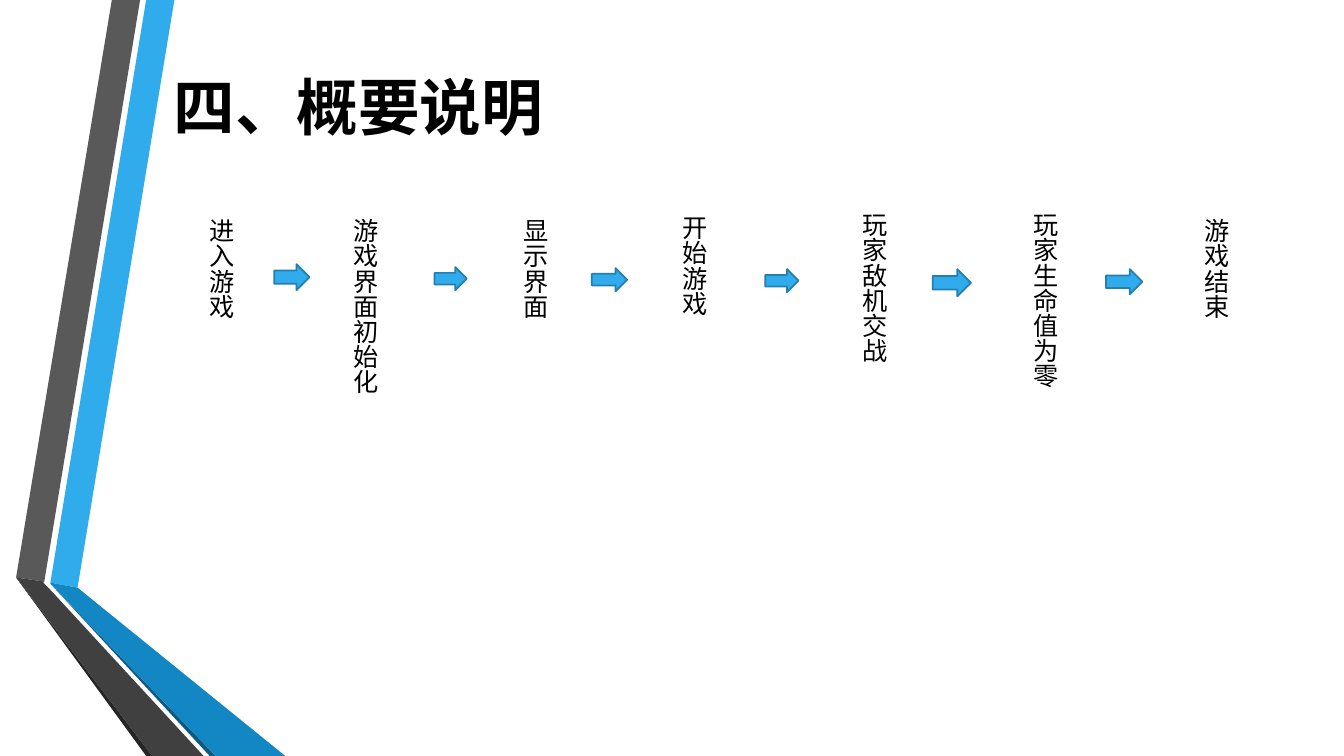
"""Build the overview slide: a vertical-text game flow beside a folded ribbon."""
from dataclasses import dataclass

from pptx import Presentation
from pptx.dml.color import RGBColor
from pptx.enum.shapes import MSO_SHAPE
from pptx.enum.text import MSO_ANCHOR, MSO_AUTO_SIZE, PP_ALIGN
from pptx.slide import Slide
from pptx.text.text import TextFrame
from pptx.util import Emu, Pt

EMU_PER_PX = 9144


@dataclass(frozen=True)
class Theme:
    font: str = "Calibri"
    title_size: int = 44
    step_size: int = 18
    arrow_line_width: float = 1.25
    text: str = "000000"
    arrow_fill: str = "30ACEC"
    arrow_line: str = "247FAF"
    blue: str = "30ACEC"
    blue_fold: str = "1287C3"
    blue_shade: str = "0C5A82"
    grey: str = "595959"
    grey_fold: str = "404040"
    grey_shade: str = "262626"


@dataclass(frozen=True)
class RibbonPart:
    color: str
    points: tuple[tuple[int, int], ...]


@dataclass(frozen=True)
class Step:
    label: str
    left: int
    top: int
    height: int
    anchor: MSO_ANCHOR = MSO_ANCHOR.TOP


@dataclass(frozen=True)
class FlowArrow:
    left: int
    top: int
    width: int
    height: int


THEME = Theme()
STEP_WIDTH = 50

RIBBON = (
    RibbonPart(THEME.blue, ((50, 578), (77, 583), (173, 0), (145, 0))),
    RibbonPart(THEME.grey, ((139, 0), (111, 0), (16, 573), (44, 577))),
    RibbonPart(THEME.grey_shade, ((16, 573), (145, 750), (151, 750))),
    RibbonPart(THEME.blue_shade, ((50, 579), (208, 750), (214, 750))),
    RibbonPart(THEME.blue_fold, ((50, 578), (50, 579), (214, 750), (283, 750), (77, 583))),
    RibbonPart(THEME.grey_fold, ((202, 750), (48, 583), (43, 578), (44, 577), (16, 573), (151, 750))),
)

STEPS = (
    Step("进入游戏", 200, 207, 398, MSO_ANCHOR.BOTTOM),
    Step("游戏界面初始化", 332, 207, 334),
    Step("显示界面", 501, 207, 342),
    Step("开始游戏", 658, 204, 366),
    Step("玩家敌机交战", 837, 201, 372),
    Step("玩家生命值为零", 1007, 201, 250),
    Step("游戏结束", 1176, 207, 282),
)

ARROWS = (
    FlowArrow(272, 262, 35, 26),
    FlowArrow(431, 265, 32, 23),
    FlowArrow(587, 266, 35, 23),
    FlowArrow(759, 267, 33, 23),
    FlowArrow(925, 267, 38, 27),
    FlowArrow(1097, 267, 36, 25),
)


def px(length: int) -> Emu:
    """Turn px into EMU."""
    return Emu(length * EMU_PER_PX)


def format_text(frame: TextFrame, size: int, bold: bool = False) -> None:
    """Apply the theme font to every run."""
    for paragraph in frame.paragraphs:
        for run in paragraph.runs:
            run.font.name = THEME.font
            run.font.size = Pt(size)
            run.font.bold = bold
            run.font.color.rgb = RGBColor.from_string(THEME.text)


def draw_ribbon_part(slide: Slide, part: RibbonPart) -> None:
    """Draw one filled outline of the ribbon."""
    builder = slide.shapes.build_freeform(*part.points[0], scale=EMU_PER_PX)
    builder.add_line_segments(part.points[1:], close=True)
    ribbon = builder.convert_to_shape()
    ribbon.shadow.inherit = False
    ribbon.fill.solid()
    ribbon.fill.fore_color.rgb = RGBColor.from_string(part.color)
    ribbon.line.fill.background()


def draw_title(slide: Slide, heading: str) -> None:
    """Place and format the title placeholder."""
    title = slide.shapes.title
    title.left, title.top, title.width, title.height = map(px, (162, 9, 1096, 192))
    frame = title.text_frame
    frame.text = heading
    frame.auto_size = MSO_AUTO_SIZE.NONE
    frame.vertical_anchor = MSO_ANCHOR.MIDDLE
    frame.paragraphs[0].alignment = PP_ALIGN.LEFT
    format_text(frame, THEME.title_size, bold=True)


def draw_step(slide: Slide, step: Step) -> None:
    """Draw one step as vertical text."""
    label = slide.shapes.add_textbox(px(step.left), px(step.top), px(STEP_WIDTH), px(step.height))
    frame = label.text_frame
    frame.text = step.label
    frame.word_wrap = True
    frame.auto_size = MSO_AUTO_SIZE.SHAPE_TO_FIT_TEXT
    frame.vertical_anchor = step.anchor
    frame._txBody.bodyPr.set("vert", "eaVert")
    format_text(frame, THEME.step_size)


def draw_arrow(slide: Slide, flow: FlowArrow) -> None:
    """Draw the block arrow between two steps."""
    arrow = slide.shapes.add_shape(
        MSO_SHAPE.RIGHT_ARROW, px(flow.left), px(flow.top), px(flow.width), px(flow.height)
    )
    arrow.shadow.inherit = False
    arrow.fill.solid()
    arrow.fill.fore_color.rgb = RGBColor.from_string(THEME.arrow_fill)
    arrow.line.color.rgb = RGBColor.from_string(THEME.arrow_line)
    arrow.line.width = Pt(THEME.arrow_line_width)


def main() -> None:
    """Build and save the slide."""
    deck = Presentation()
    deck.slide_width, deck.slide_height = px(1333), px(750)
    slide = deck.slides.add_slide(deck.slide_layouts[5])
    for part in RIBBON:
        draw_ribbon_part(slide, part)
    draw_title(slide, "四、概要说明")
    for step in STEPS:
        draw_step(slide, step)
    for flow in ARROWS:
        draw_arrow(slide, flow)
    deck.save("out.pptx")


if __name__ == "__main__":
    main()
